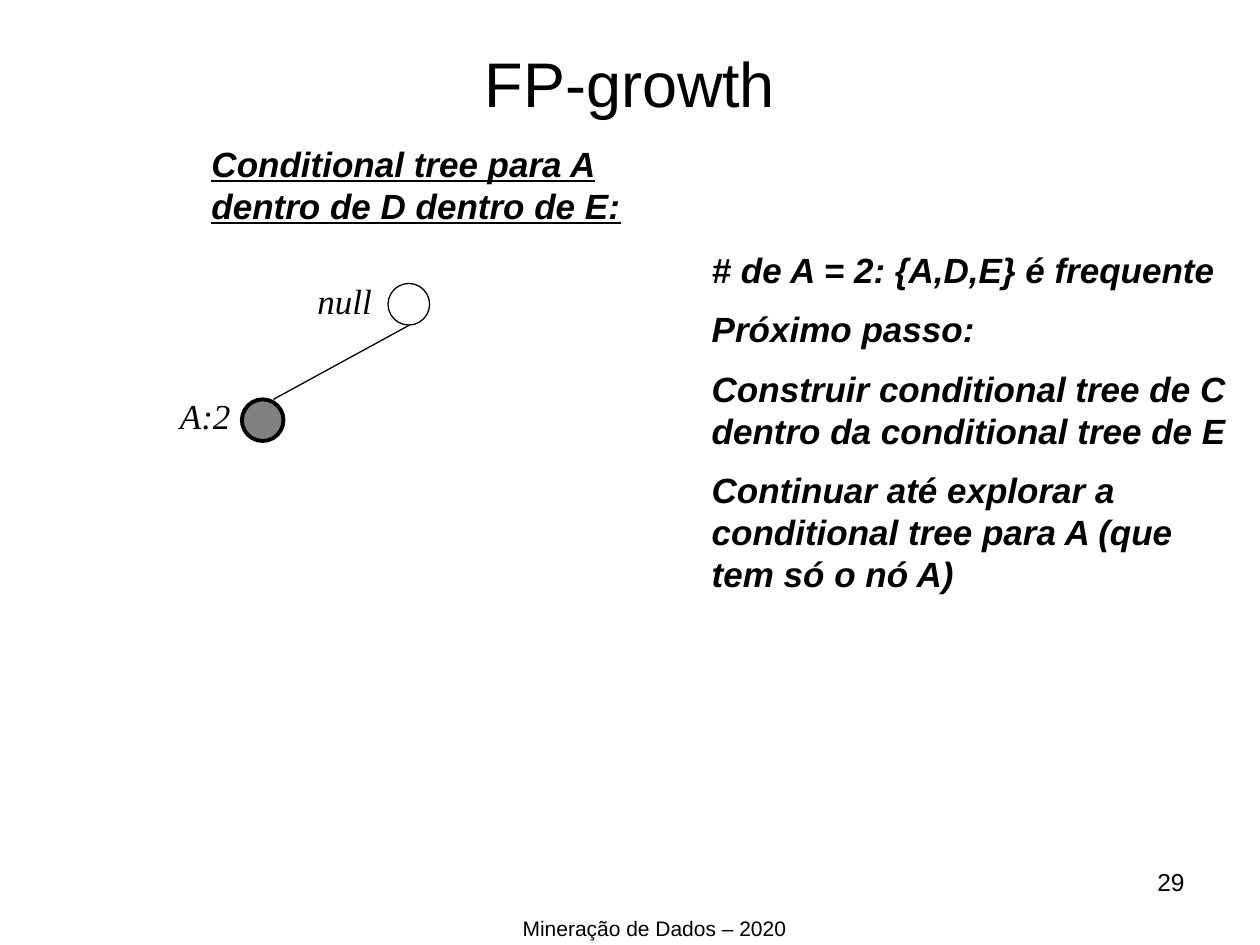
import pptx
import pptx.util
import pptx.dml.color
import pptx.enum.shapes
import pptx.enum.text
import lxml.etree
from pptx.util import Inches

COLORS = {"ink": "000000", "paper": "FFFFFF", "leaf": "808080"}
ALIGN = pptx.enum.text.PP_ALIGN
ANCHOR = pptx.enum.text.MSO_ANCHOR


def rgb(name):
    return pptx.dml.color.RGBColor.from_string(COLORS[name])


def add_text(box, *paragraphs, size=20, font="Arial", bold=False, italic=False,
             underline=False, align=ALIGN.LEFT, anchor=ANCHOR.TOP, before=0):
    frame = slide.shapes.add_textbox(*map(Inches, box)).text_frame
    frame.word_wrap = True
    frame.vertical_anchor = anchor
    for index, text in enumerate(paragraphs):
        paragraph = frame.add_paragraph() if index else frame.paragraphs[0]
        paragraph.alignment = align
        paragraph.space_before = pptx.util.Pt(before)
        run = paragraph.add_run()
        run.text = text
        run.font.name = font
        run.font.size = pptx.util.Pt(size)
        run.font.bold = bold
        run.font.italic = italic
        run.font.underline = underline
        run.font.color.rgb = rgb("ink")


deck = pptx.Presentation()
deck.slide_width = Inches(10)
deck.slide_height = Inches(7.5)
slide = deck.slides.add_slide(deck.slide_layouts[6])
slide.background.fill.solid()
slide.background.fill.fore_color.rgb = rgb("paper")

add_text((0.5, 0.3, 9, 0.7), "FP-growth", size=36, align=ALIGN.CENTER, anchor=ANCHOR.MIDDLE)
add_text(
    (5.55, 1.92, 4.29, 3.32),
    "# de A = 2: {A,D,E} é frequente",
    "Próximo passo:",
    "Construir conditional tree de C dentro da conditional tree de E",
    "Continuar até explorar a conditional tree para A (que tem só o nó A)",
    bold=True, italic=True, before=10,
)
add_text((1.58, 1.08, 3.65, 0.77), "Conditional tree para A dentro de D dentro de E:",
         bold=True, italic=True, underline=True, before=10)

diameter = 0.33
for left, top, fill, weight in [(3.08, 2.25, None, 0.75), (1.92, 3.17, "leaf", 2.25)]:
    node = slide.shapes.add_shape(pptx.enum.shapes.MSO_SHAPE.OVAL, Inches(left), Inches(top),
                                  Inches(diameter), Inches(diameter))
    node.shadow.inherit = False
    if fill:
        node.fill.solid()
        node.fill.fore_color.rgb = rgb(fill)
    else:
        node.fill.background()
    node.line.color.rgb = rgb("ink")
    node.line.width = pptx.util.Pt(weight)

branch = slide.shapes.add_connector(pptx.enum.shapes.MSO_CONNECTOR.STRAIGHT,
                                    Inches(3.25), Inches(2.58), Inches(2.17), Inches(3.17))
branch.line.color.rgb = rgb("ink")
branch.line.width = pptx.util.Pt(0.75)
lxml.etree.SubElement(branch.element.spPr, pptx.oxml.ns.qn("a:effectLst"))

for left, top, label in [(2.42, 2.17, "null"), (1.33, 3.08, "A:2")]:
    add_text((left, top, 0.67, 0.43), label, font="Times New Roman", italic=True, before=10)

add_text((7.17, 6.83, 2.33, 0.52), "29", size=14, align=ALIGN.RIGHT)
add_text((2.4, 7.22, 5.59, 0.23), "Mineração de Dados – 2020", size=12, align=ALIGN.CENTER)

deck.save("out.pptx")
